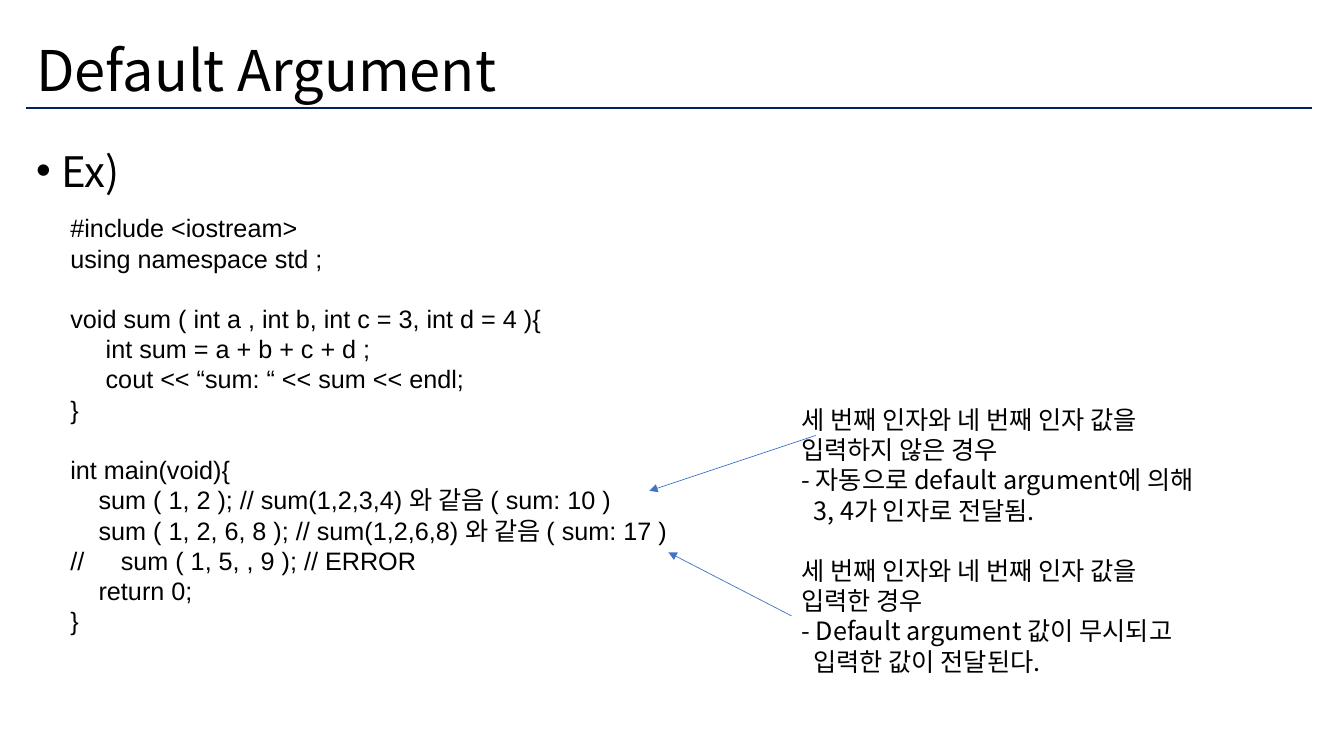
from lxml.etree import SubElement
from pptx import Presentation
from pptx.dml.color import RGBColor
from pptx.enum.shapes import MSO_CONNECTOR
from pptx.enum.text import MSO_ANCHOR, PP_ALIGN
from pptx.oxml.ns import qn
from pptx.util import Pt

PX = 9144  # EMU per px, 100 px to the inch
BLACK = RGBColor(0x00, 0x00, 0x00)
NAVY = RGBColor(0x00, 0x20, 0x60)
BLUE = RGBColor(0x44, 0x72, 0xC4)
KOREAN_FONT = "Noto Sans CJK KR"
CODE_FONT = "Arial"
LINE_PITCH = Pt(21.6)
BODY_INDENT = 28
FUNCTION_INDENT = 35

# Each line: text, indent in px, whether a blank line's gap precedes it
CODE = [
    ("#include <iostream>", 0, False),
    ("using namespace std ;", 0, False),
    ("void sum ( int a , int b, int c = 3, int d = 4 ){", 0, True),
    ("int sum = a + b + c + d ;", FUNCTION_INDENT, False),
    ("cout << “sum: “ << sum << endl;", FUNCTION_INDENT, False),
    ("}", 0, False),
    ("int main(void){", 0, True),
    ("sum ( 1, 2 ); // sum(1,2,3,4) 와 같음 ( sum: 10 )", BODY_INDENT, False),
    ("sum ( 1, 2, 6, 8 ); // sum(1,2,6,8) 와 같음 ( sum: 17 )", BODY_INDENT, False),
    ("//\tsum ( 1, 5, , 9 ); // ERROR", 0, False),
    ("return 0;", BODY_INDENT, False),
    ("}", 0, False),
]
OMITTED_NOTE = [
    ("세 번째 인자와 네 번째 인자 값을 입력하지 않은 경우", 0, False),
    ("- 자동으로 default argument에 의해", 0, False),
    ("3, 4가 인자로 전달됨.", 12, False),
]
GIVEN_NOTE = [
    ("세 번째 인자와 네 번째 인자 값을 입력한 경우", 0, False),
    ("- Default argument 값이 무시되고", 0, False),
    ("입력한 값이 전달된다.", 12, False),
]


def add_frame(slide, left, top, width, height):
    box = slide.shapes.add_textbox(left * PX, top * PX, width * PX, height * PX)
    box.text_frame.word_wrap = True
    return box.text_frame


def style_paragraph(paragraph, text, size, font_name=KOREAN_FONT):
    """Fill a paragraph, with Korean letters always in the Korean font."""
    paragraph.text = text
    paragraph.alignment = PP_ALIGN.LEFT
    font = paragraph.font
    font.size = Pt(size)
    font.color.rgb = BLACK
    font.name = font_name
    defaults = paragraph._p.pPr.find(qn("a:defRPr"))
    SubElement(defaults, qn("a:ea")).set("typeface", KOREAN_FONT)
    return defaults


def add_title(slide, text):
    frame = add_frame(slide, 26, 0, 1295, 145)
    frame.vertical_anchor = MSO_ANCHOR.MIDDLE
    title = frame.paragraphs[0]
    style_paragraph(title, text, 40)
    title.line_spacing = 0.9


def add_bullet(slide, text):
    bullet = add_frame(slide, 26, 139, 902, 68).paragraphs[0]
    defaults = style_paragraph(bullet, text, 30)
    bullet.space_before = Pt(10)
    properties = bullet._p.pPr
    properties.set("marL", str(25 * PX))
    properties.set("indent", str(-25 * PX))
    mark_font = SubElement(properties, qn("a:buFont"))
    mark_font.set("typeface", CODE_FONT)
    mark = SubElement(properties, qn("a:buChar"))
    mark.set("char", "•")
    defaults.addprevious(mark_font)
    defaults.addprevious(mark)


def add_lines(slide, left, top, width, height, lines, font_name=KOREAN_FONT):
    frame = add_frame(slide, left, top, width, height)
    for index, (text, indent, gap_before) in enumerate(lines):
        line = frame.add_paragraph() if index else frame.paragraphs[0]
        defaults = style_paragraph(line, text, 18, font_name)
        line.line_spacing = LINE_PITCH
        if gap_before:
            line.space_before = LINE_PITCH
        properties = line._p.pPr
        properties.set("marL", str(indent * PX))
        properties.set("indent", "0")
        if "\t" in text:
            stops = SubElement(properties, qn("a:tabLst"))
            SubElement(stops, qn("a:tab"), pos=str(FUNCTION_INDENT * PX), algn="l")
            defaults.addprevious(stops)


def add_line(slide, start, end, color, weight, arrow=False):
    points = [value * PX for value in (*start, *end)]
    connector = slide.shapes.add_connector(MSO_CONNECTOR.STRAIGHT, *points)
    connector.line.color.rgb = color
    connector.line.width = Pt(weight)
    if arrow:
        stroke = connector.line._get_or_add_ln()
        SubElement(stroke, qn("a:tailEnd")).set("type", "triangle")
    SubElement(connector._element.spPr, qn("a:effectLst"))


def main():
    deck = Presentation()
    deck.slide_width, deck.slide_height = 1333 * PX, 750 * PX
    slide = deck.slides.add_slide(deck.slide_layouts[6])
    add_title(slide, "Default Argument")
    add_line(slide, (26, 107), (1301, 107), NAVY, 1)
    add_bullet(slide, "Ex)")
    add_lines(slide, 60, 206, 667, 495, CODE, CODE_FONT)
    add_lines(slide, 785, 396, 440, 131, OMITTED_NOTE)
    add_lines(slide, 785, 546, 417, 131, GIVEN_NOTE)
    add_line(slide, (809, 432), (644, 487), BLUE, 0.5, arrow=True)
    add_line(slide, (785, 611), (663, 548), BLUE, 0.5, arrow=True)
    deck.save("out.pptx")


if __name__ == "__main__":
    main()
